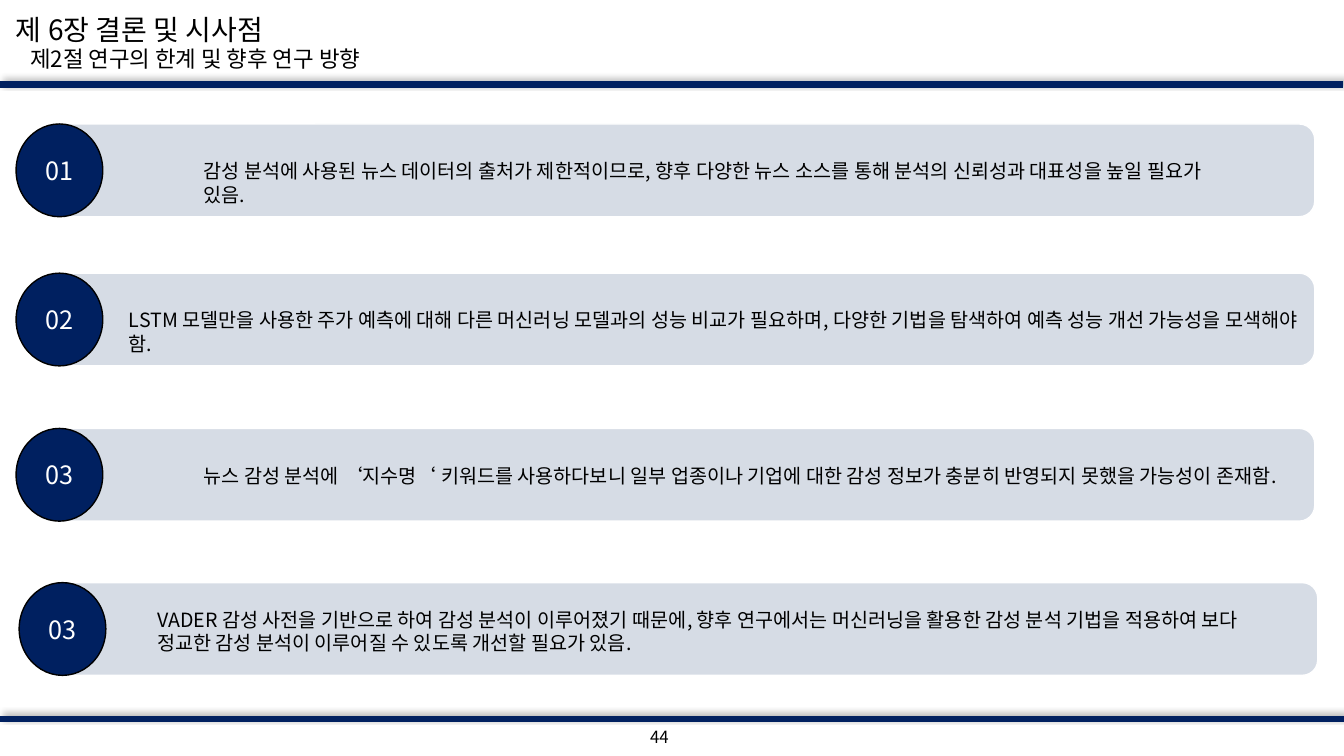
from lxml import etree
from pptx import Presentation
from pptx.dml.color import RGBColor
from pptx.enum.shapes import MSO_CONNECTOR, MSO_SHAPE
from pptx.enum.text import MSO_ANCHOR, PP_ALIGN
from pptx.oxml import parse_xml
from pptx.oxml.ns import nsdecls, qn
from pptx.util import Inches, Pt

STRAIGHT = MSO_CONNECTOR.STRAIGHT
ROUNDED, OVAL = MSO_SHAPE.ROUNDED_RECTANGLE, MSO_SHAPE.OVAL
MIDDLE, CENTER = MSO_ANCHOR.MIDDLE, PP_ALIGN.CENTER

# Content
CHAPTER = "제 6장 결론 및 시사점"
SECTION = "제2절 연구의 한계 및 향후 연구 방향"
PAGE = "44"
# number, badge left, row top, text (left, offset from row top, width, height), text
LIMITS = [
    ("01", 0.16, 1.23, (1.92, 0.3, 10.48, 0.34),
     "감성 분석에 사용된 뉴스 데이터의 출처가 제한적이므로, 향후 다양한 뉴스 소스를 통해 "
     "분석의 신뢰성과 대표성을 높일 필요가 있음."),
    ("02", 0.16, 2.71, (1.18, 0.3, 11.87, 0.34),
     "LSTM 모델만을 사용한 주가 예측에 대해 다른 머신러닝 모델과의 성능 비교가 필요하며, "
     "다양한 기법을 탐색하여 예측 성능 개선 가능성을 모색해야 함."),
    ("03", 0.16, 4.25, (1.92, 0.3, 11.09, 0.34),
     "뉴스 감성 분석에 ‘지수명‘ 키워드를 사용하다보니 일부 업종이나 기업에 대한 "
     "감성 정보가 충분히 반영되지 못했을 가능성이 존재함."),
    ("03", 0.19, 5.78, (1.46, 0.2, 11.39, 0.57),
     "VADER 감성 사전을 기반으로 하여 감성 분석이 이루어졌기 때문에, 향후 연구에서는 "
     "머신러닝을 활용한 감성 분석 기법을 적용하여 보다 정교한 감성 분석이 이루어질 수 "
     "있도록 개선할 필요가 있음."),
]

THEME = {
    "font": "Noto Sans CJK KR",
    "navy": RGBColor(0x00, 0x20, 0x60),
    "bar": RGBColor(0xD6, 0xDC, 0xE5),
    "black": RGBColor(0x00, 0x00, 0x00),
    "white": RGBColor(0xFF, 0xFF, 0xFF),
    "chapter": 20, "section": 16, "badge": 18, "body": 14, "page": 12,
}
SLIDE_W, SLIDE_H = 13.33, 7.5
BAR_W, BADGE_W, ROW_H, BAR_SHIFT = 12.6, 0.86, 0.92, 0.28

prs = Presentation()
prs.slide_width, prs.slide_height = Inches(SLIDE_W), Inches(SLIDE_H)
s = prs.slides.add_slide(prs.slide_layouts[6])


def style(p, size, color="black"):
    font = p.font
    font.size, font.name = Pt(THEME[size]), THEME["font"]
    font.color.rgb = THEME[color]
    ea = etree.SubElement(p._p.pPr.find(qn("a:defRPr")), qn("a:ea"))
    ea.set("typeface", THEME["font"])


def add_text(box, lines):
    tf = s.shapes.add_textbox(*map(Inches, box)).text_frame
    tf.word_wrap = True
    for i, (text, size) in enumerate(lines):
        p = tf.add_paragraph() if i else tf.paragraphs[0]
        p.text = text
        style(p, size)
    return tf


def add_panel(kind, box, fill, line):
    sp = s.shapes.add_shape(kind, *map(Inches, box))
    sp.shadow.inherit = False
    sp.fill.solid()
    sp.fill.fore_color.rgb = THEME[fill]
    sp.line.color.rgb = THEME[line]
    sp.line.width = Pt(1)
    return sp


def add_rule(left, y):
    ln = s.shapes.add_connector(STRAIGHT, Inches(left), Inches(y),
                                Inches(left + SLIDE_W), Inches(y))
    ln.line.color.rgb = THEME["navy"]
    ln.line.width = Pt(4.5)
    ln._element.spPr.append(parse_xml(
        f'<a:effectLst {nsdecls("a")}><a:outerShdw blurRad="{Pt(4)}" dist="{Pt(3)}" '
        f'dir="{315 * 60000}" algn="bl" rotWithShape="0"><a:srgbClr val="000000">'
        '<a:alpha val="40000"/></a:srgbClr></a:outerShdw></a:effectLst>'))


# Heading, rules and page number
add_rule(0, 7.13)
heading = add_text((0.06, 0.07, 5.08, 0.74), [(CHAPTER, "chapter"), (SECTION, "section")])
heading.paragraphs[1]._p.pPr.set("marL", str(Inches(0.14)))
add_rule(-0.01, 0.84)
add_text((6.35, 7.16, 0.5, 0.3), [(PAGE, "page")])

# Numbered limitations
for number, left, top, (text_left, offset, width, height), text in LIMITS:
    add_panel(ROUNDED, (left + BAR_SHIFT, top, BAR_W, ROW_H), "bar", "white")
    badge = add_panel(OVAL, (left, top, BADGE_W, ROW_H), "navy", "black")
    tf = badge.text_frame
    tf.vertical_anchor = MIDDLE
    p = tf.paragraphs[0]
    p.text, p.alignment = number, CENTER
    style(p, "badge", "white")
    add_text((text_left, top + offset, width, height), [(text, "body")])

prs.save("out.pptx")
